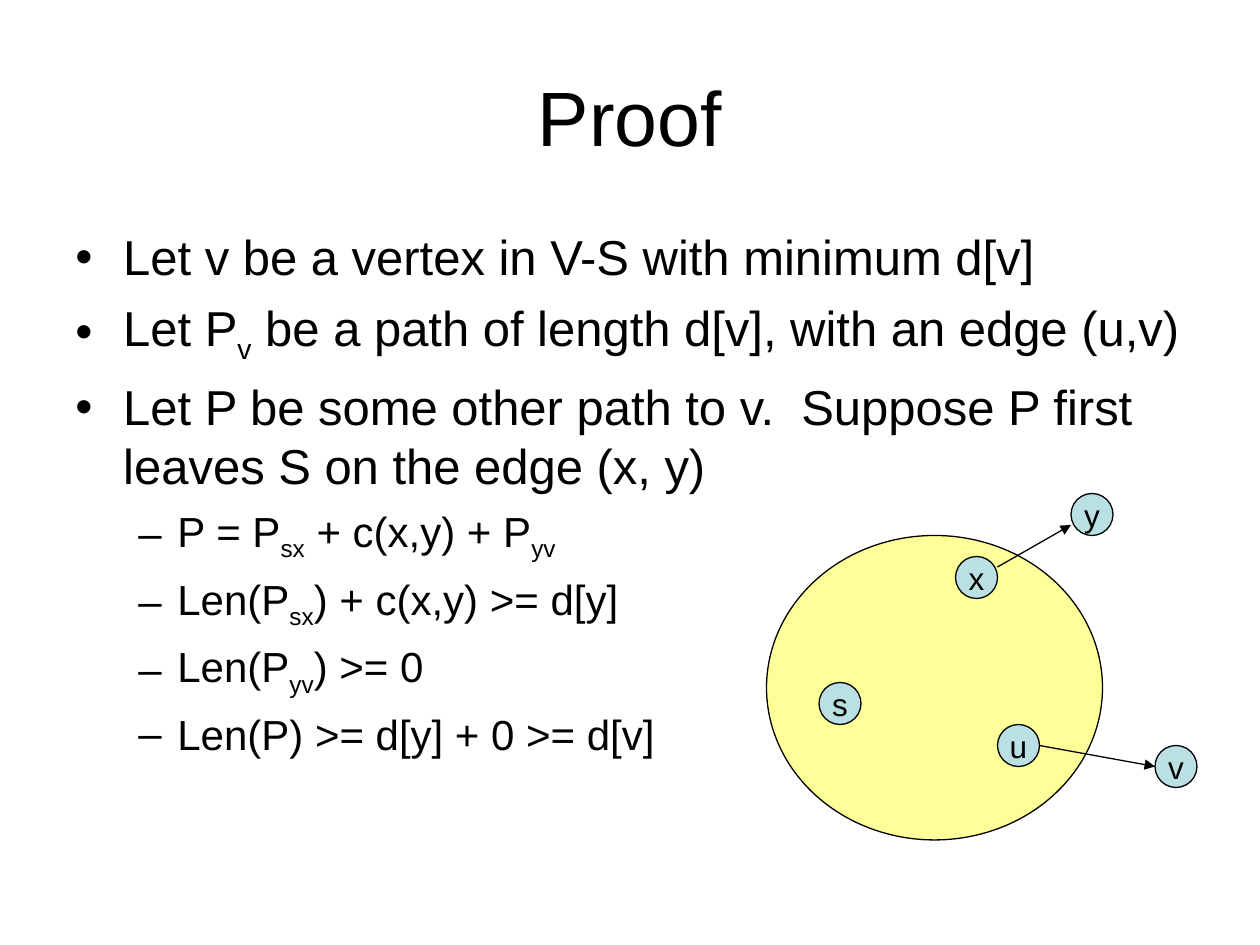
from typing import NamedTuple

from lxml.etree import SubElement
from pptx import Presentation
from pptx.dml.color import RGBColor as Rgb
from pptx.enum.shapes import MSO_CONNECTOR as Link, MSO_SHAPE as Form
from pptx.enum.text import MSO_ANCHOR as Anchor, PP_ALIGN as Align
from pptx.oxml.ns import qn
from pptx.util import Inches, Pt

UNIT = Inches(1 / 12)  # grid step: the slide is 120 columns by 90 rows
NODE = 4  # node width in grid steps
BLACK, YELLOW, BLUE = "000000", "FFFF99", "BBE0E3"


class Level(NamedTuple):
    mark: str
    size: int
    left: float
    hang: float
    gap: int


class Node(NamedTuple):
    name: str
    col: int
    row: int


class Edge(NamedTuple):
    start: tuple[int, int]
    end: tuple[int, int]


MAIN = Level("•", 28, 0.38, 0.38, 7)
SUB = Level("–", 24, 0.81, 0.31, 6)

# Every second part between underscores is a subscript.
POINTS = [
    (MAIN, "Let v be a vertex in V-S with minimum d[v]"),
    (MAIN, "Let P_v_ be a path of length d[v], with an edge (u,v)"),
    (MAIN, "Let P be some other path to v.  Suppose P first "
           "leaves S on the edge (x, y)"),
    (SUB, "P = P_sx_ + c(x,y) + P_yv_"),
    (SUB, "Len(P_sx_) + c(x,y) >= d[y]"),
    (SUB, "Len(P_yv_) >= 0"),
    (SUB, "Len(P) >= d[y] + 0 >= d[v]"),
]
NODES = [
    Node("s", 78, 65),
    Node("y", 102, 47),
    Node("v", 110, 71),
    Node("x", 91, 53),
    Node("u", 95, 69),
]
EDGES = [Edge((95, 54), (102, 50)), Edge((99, 71), (110, 73))]


def color(code: str) -> Rgb:
    return Rgb.from_string(code)


def grid(*steps: int) -> list[int]:
    return [step * UNIT for step in steps]


def write(para, text: str, *, size: int, align=Align.LEFT) -> None:
    """Add text to a paragraph, lowering the parts between underscores."""
    para.alignment = align
    for i, part in enumerate(text.split("_")):
        if not part:
            continue
        run = para.add_run()
        run.text = part
        run.font.name = "Arial"
        run.font.size = Pt(size)
        run.font.color.rgb = color(BLACK)
        if i % 2:
            run._r.get_or_add_rPr().set("baseline", "-25000")


def bullet(para, level: Level) -> None:
    props = para._p.get_or_add_pPr()
    props.set("marL", str(Inches(level.left)))
    props.set("indent", str(-Inches(level.hang)))
    if level is SUB:
        para.level = 1
    SubElement(props, qn("a:buFont"), typeface="Arial")
    SubElement(props, qn("a:buChar"), char=level.mark)


def add_title(shapes, text: str) -> None:
    frame = shapes.add_textbox(*grid(6, 4, 108, 14)).text_frame
    frame.word_wrap = True
    frame.vertical_anchor = Anchor.MIDDLE
    write(frame.paragraphs[0], text, size=44, align=Align.CENTER)


def add_body(shapes) -> None:
    frame = shapes.add_textbox(*grid(6, 21, 108, 64)).text_frame
    frame.word_wrap = True
    for i, (level, text) in enumerate(POINTS):
        para = frame.add_paragraph() if i else frame.paragraphs[0]
        bullet(para, level)
        if i:
            para.space_before = Pt(level.gap)
        write(para, text, size=level.size)


def add_oval(shapes, col: int, row: int, wide: int, high: int, fill: str):
    oval = shapes.add_shape(Form.OVAL, *grid(col, row, wide, high))
    oval.shadow.inherit = False
    oval.fill.solid()
    oval.fill.fore_color.rgb = color(fill)
    oval.line.color.rgb = color(BLACK)
    oval.line.width = Pt(0.75)
    return oval


def add_node(shapes, node: Node) -> None:
    oval = add_oval(shapes, node.col, node.row, NODE, NODE, BLUE)
    frame = oval.text_frame
    frame.word_wrap = False
    frame.vertical_anchor = Anchor.MIDDLE
    write(frame.paragraphs[0], node.name, size=18, align=Align.CENTER)


def add_edge(shapes, edge: Edge) -> None:
    line = shapes.add_connector(Link.STRAIGHT, *grid(*edge.start, *edge.end))
    line.line.color.rgb = color(BLACK)
    line.line.width = Pt(0.75)
    SubElement(line.line._get_or_add_ln(), qn("a:tailEnd"), type="triangle")
    SubElement(line._element.spPr, qn("a:effectLst"))


def main() -> None:
    deck = Presentation()
    deck.slide_width, deck.slide_height = grid(120, 90)
    shapes = deck.slides.add_slide(deck.slide_layouts[6]).shapes
    add_title(shapes, "Proof")
    add_body(shapes)
    add_oval(shapes, 73, 51, 32, 29, YELLOW)
    for node in NODES:
        add_node(shapes, node)
    for edge in EDGES:
        add_edge(shapes, edge)
    deck.save("out.pptx")


if __name__ == "__main__":
    main()
